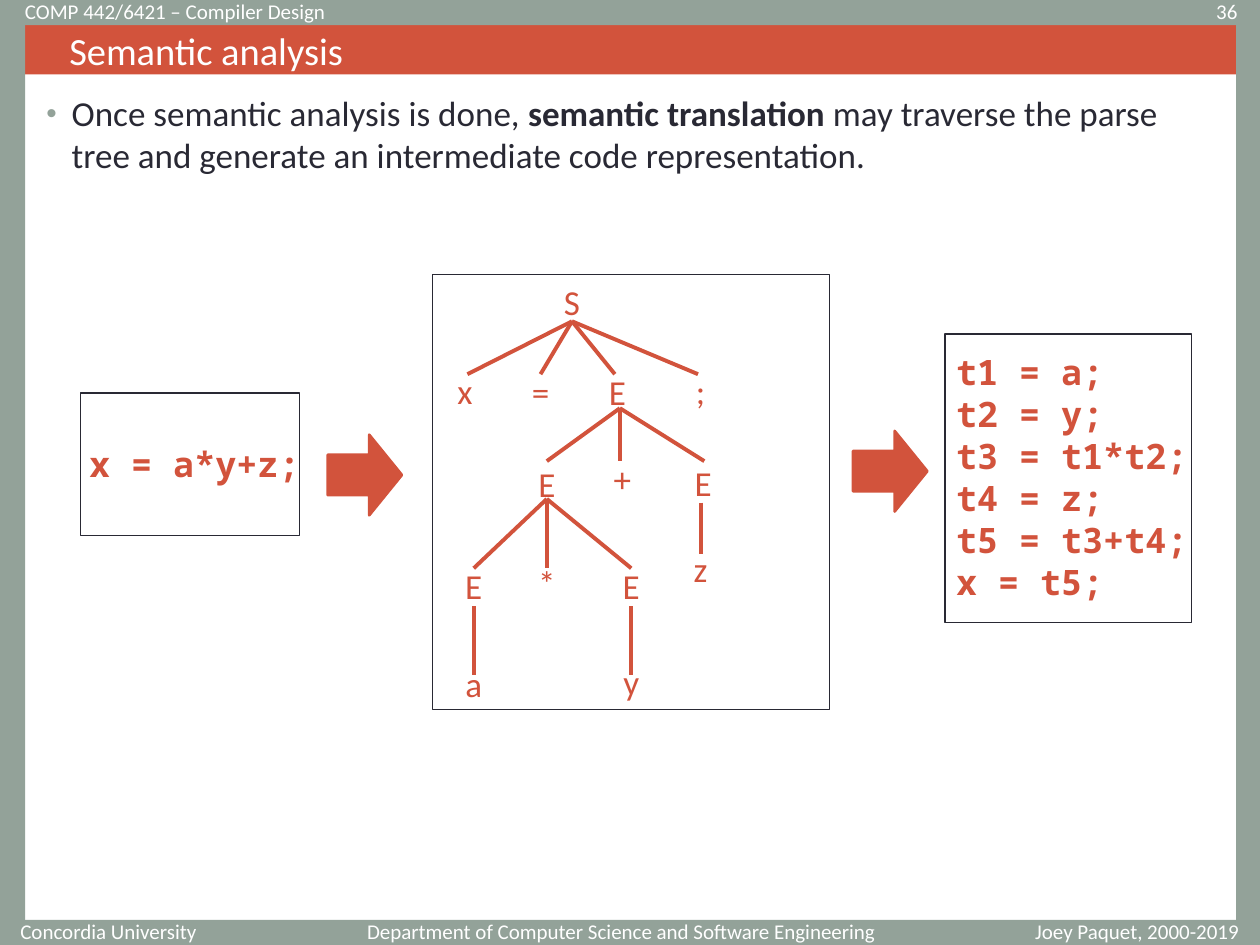
from dataclasses import dataclass

from lxml import etree
from pptx import Presentation
from pptx.dml.color import RGBColor
from pptx.enum.shapes import MSO_CONNECTOR, MSO_SHAPE
from pptx.enum.text import MSO_ANCHOR, MSO_AUTO_SIZE, PP_ALIGN
from pptx.oxml.ns import qn
from pptx.util import Inches, Pt

RECT, ARROW = MSO_SHAPE.RECTANGLE, MSO_SHAPE.RIGHT_ARROW
STRAIGHT = MSO_CONNECTOR.STRAIGHT
LEFT, CENTER, RIGHT = PP_ALIGN.LEFT, PP_ALIGN.CENTER, PP_ALIGN.RIGHT
TOP, MIDDLE = MSO_ANCHOR.TOP, MSO_ANCHOR.MIDDLE
NO_FIT = MSO_AUTO_SIZE.NONE


@dataclass(frozen=True)
class Theme:
    frame: RGBColor = RGBColor(0x93, 0xA2, 0x99)
    accent: RGBColor = RGBColor(0xD2, 0x53, 0x3C)
    ink: RGBColor = RGBColor(0x29, 0x29, 0x34)
    white: RGBColor = RGBColor(0xFF, 0xFF, 0xFF)
    font: str = "Calibri"
    mono: str = "Noto Sans Mono"
    title: int = 22
    body: int = 20
    small: int = 12


T = Theme()

# Tree labels: text, centre x, top
NODES = [
    ("S", 4.54, 2.18),
    ("x", 3.69, 2.88), ("=", 4.29, 2.89), ("E", 4.9, 2.89), (";", 5.56, 2.88),
    ("E", 4.34, 3.62), ("+", 4.94, 3.58), ("E", 5.58, 3.61),
    ("E", 3.76, 4.43), ("*", 4.34, 4.41), ("E", 5.01, 4.43), ("z", 5.56, 4.3),
    ("a", 3.76, 5.21), ("y", 5.01, 5.19),
]
# Tree branches: parent x, parent y, child y, child xs
BRANCHES = [
    (4.54, 2.55, 2.97, (3.71, 4.29, 4.88, 5.54)),
    (4.92, 3.24, 3.66, (4.34, 4.92, 5.59)),
    (5.56, 3.99, 4.4, (5.56,)),
    (4.34, 3.96, 4.51, (3.76, 4.34, 5.01)),
    (3.76, 4.81, 5.36, (3.76,)),
    (5.01, 4.81, 5.36, (5.01,)),
]
CODE = ["t1 = a;", "t2 = y;", "t3 = t1*t2;", "t4 = z;", "t5 = t3+t4;", "x = t5;"]


def add_run(p, text, size=T.body, color=T.accent, font=T.font, bold=False):
    r = p.add_run()
    r.text = text
    r.font.size, r.font.name, r.font.bold = Pt(size), font, bold
    r.font.color.rgb = color


def add_text(slide, text, x, y, w, h, align=LEFT, anchor=TOP, wrap=False,
             spacing=None, **fmt):
    """Add a text box with one paragraph for each line of text."""
    sp = slide.shapes.add_textbox(Inches(x), Inches(y), Inches(w), Inches(h))
    tf = sp.text_frame
    tf.word_wrap, tf.vertical_anchor, tf.auto_size = wrap, anchor, NO_FIT
    for i, line in enumerate(text.split("\n")):
        p = tf.add_paragraph() if i else tf.paragraphs[0]
        p.alignment = align
        if spacing:
            p.line_spacing = Pt(spacing)
        add_run(p, line, **fmt)


def add_box(slide, kind, x, y, w, h, fill=None, line=None, weight=1.0):
    sp = slide.shapes.add_shape(kind, Inches(x), Inches(y), Inches(w), Inches(h))
    sp.shadow.inherit = False
    if fill is None:
        sp.fill.background()
    else:
        sp.fill.solid()
        sp.fill.fore_color.rgb = fill
    if line is None:
        sp.line.fill.background()
    else:
        sp.line.color.rgb = line
        sp.line.width = Pt(weight)
    return sp


def add_line(slide, x1, y1, x2, y2):
    cx = slide.shapes.add_connector(STRAIGHT, Inches(x1), Inches(y1),
                                    Inches(x2), Inches(y2))
    cx.line.color.rgb = T.accent
    cx.line.width = Pt(2.25)
    etree.SubElement(cx.element.spPr, qn("a:effectLst"))


def add_arrow(slide, x, y):
    sp = add_box(slide, ARROW, x, y, 0.59, 0.64, T.accent, T.accent, 1.5)
    sp.adjustments[0], sp.adjustments[1] = 0.5, 0.44


def set_bullet(p, char, color, percent, indent):
    pPr = p._p.get_or_add_pPr()
    pPr.set("marL", str(Inches(indent)))
    pPr.set("indent", str(-Inches(indent)))
    clr = etree.SubElement(pPr, qn("a:buClr"))
    etree.SubElement(clr, qn("a:srgbClr"), val=str(color))
    etree.SubElement(pPr, qn("a:buSzPct"), val=str(percent * 1000))
    etree.SubElement(pPr, qn("a:buFont"), typeface="Arial")
    etree.SubElement(pPr, qn("a:buChar"), char=char)


def add_frame(slide):
    for bar in [(0, 0, 10, 0.2), (0, 7.3, 10, 0.2),
                (0, 0, 0.2, 7.44), (9.81, 0.18, 0.19, 7.32)]:
        add_box(slide, RECT, *bar, fill=T.frame)
    for text, x, y, w, align in [
        ("COMP 442/6421 – Compiler Design", 0.1, 0.03, 5.6, LEFT),
        ("36", 8.75, 0.03, 1.17, RIGHT),
        ("Concordia University", 0.03, 7.33, 1.63, RIGHT),
        ("Department of Computer Science and Software Engineering",
         2.8, 7.33, 4.25, RIGHT),
        ("Joey Paquet, 2000-2019", 7.99, 7.33, 2.07, CENTER),
    ]:
        add_text(slide, text, x, y, w, 0.12, align, MIDDLE, wrap=True,
                 size=T.small, color=T.white)


def set_title(slide, text):
    sp = slide.shapes.title
    sp.left, sp.top, sp.width, sp.height = map(Inches, (0.2, 0.2, 9.62, 0.39))
    sp.fill.solid()
    sp.fill.fore_color.rgb = T.accent
    tf = sp.text_frame
    tf.auto_size, tf.vertical_anchor = NO_FIT, MIDDLE
    p = tf.paragraphs[0]
    p.alignment = LEFT
    p._p.get_or_add_pPr().set("marL", str(Inches(0.25)))
    add_run(p, text, size=T.title, color=T.white)


def add_body(slide, parts):
    sp = slide.shapes.add_textbox(Inches(0.27), Inches(0.68), Inches(9.45), Inches(6.54))
    tf = sp.text_frame
    tf.word_wrap = True
    p = tf.paragraphs[0]
    set_bullet(p, "•", T.frame, 85, 0.2)
    for text, bold in parts:
        add_run(p, text, color=T.ink, bold=bold)


def add_tree(slide):
    add_box(slide, RECT, 3.43, 2.18, 3.15, 3.45, line=T.ink, weight=0.5)
    for px, py, cy, children in BRANCHES:
        for cx in children:
            add_line(slide, px, py, cx, cy)
    width = 0.35
    for text, x, y in NODES:
        add_text(slide, text, x - width / 2, y, width, 0.44, CENTER)


def add_code(slide, text, box, place):
    add_box(slide, RECT, *box, line=T.ink, weight=0.75)
    add_text(slide, text, *place, spacing=24, font=T.mono, bold=True)


def main():
    prs = Presentation()
    prs.slide_width, prs.slide_height = Inches(10), Inches(7.5)
    slide = prs.slides.add_slide(prs.slide_layouts[5])

    # Page frame, title and statement
    add_frame(slide)
    set_title(slide, "Semantic analysis")
    add_body(slide, [
        ("Once semantic analysis is done, ", False),
        ("semantic translation ", True),
        ("may traverse the parse tree and generate an intermediate code "
         "representation.", False),
    ])

    # Source code, parse tree, intermediate code
    add_code(slide, "x = a*y+z;", (0.64, 3.12, 1.74, 1.13), (0.61, 3.46, 1.87, 0.44))
    add_arrow(slide, 2.6, 3.45)
    add_tree(slide)
    add_arrow(slide, 6.77, 3.42)
    add_code(slide, "\n".join(CODE), (7.5, 2.65, 1.96, 2.29), (7.49, 2.73, 2.04, 2.1))

    prs.save("out.pptx")


if __name__ == "__main__":
    main()
